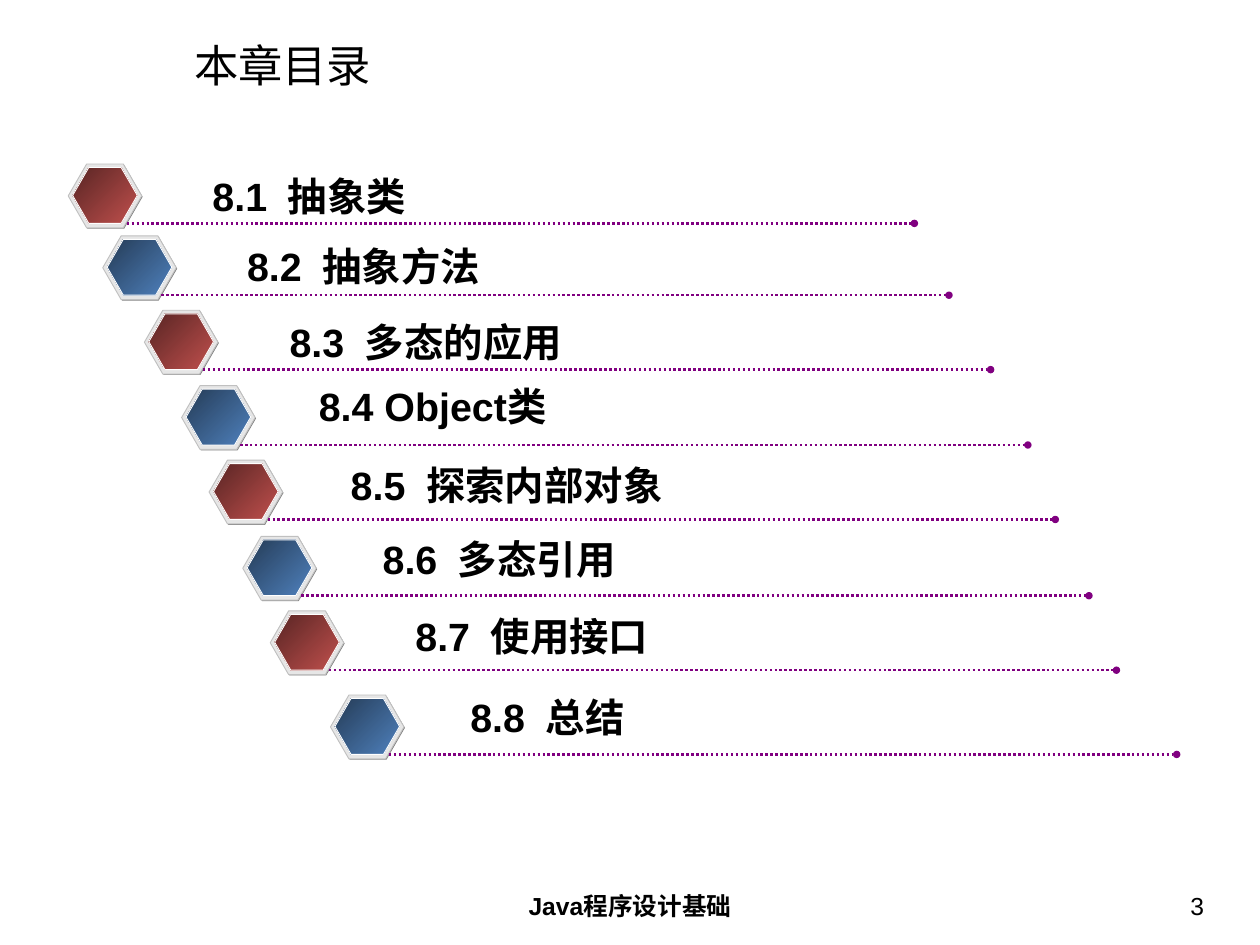
from dataclasses import dataclass

from pptx import Presentation
from pptx.dml.color import RGBColor
from pptx.enum.dml import MSO_LINE
from pptx.enum.shapes import MSO_CONNECTOR, MSO_SHAPE
from pptx.enum.text import MSO_ANCHOR, PP_ALIGN
from pptx.oxml.ns import qn
from pptx.util import Pt
from lxml.etree import SubElement

PX = 9144  # 100 px to the inch


@dataclass(frozen=True)
class Theme:
    font: str = "Arial"
    text: str = "000000"
    shadow: str = "808080"
    rim: str = "E6E6E6"
    rim_line: str = "C0C0C0"
    gem_line: str = "FFFFFF"
    rule: str = "800080"
    gems: tuple = (("C0504D", "592524"), ("4F81BD", "253C57"))
    title_size: int = 36
    item_size: int = 32
    footer_size: int = 20


THEME = Theme()
NUMBER_TAB = 85

# text, hexagon left and top, label left, top and width
ITEMS = [
    ("8.1\t抽象类", 77, 185, 230, 189, 260),
    ("8.2\t抽象方法", 116, 266, 269, 268, 305),
    ("8.3\t多态的应用", 163, 350, 317, 354, 350),
    ("8.4 Object类", 205, 435, 350, 426, 310),
    ("8.5\t探索内部对象", 236, 519, 386, 515, 395),
    ("8.6\t多态引用", 274, 605, 422, 599, 305),
    ("8.7\t使用接口", 305, 689, 459, 686, 305),
    ("8.8\t总结", 373, 784, 521, 777, 215),
]


def emu(*lengths):
    return [n * PX for n in lengths]


def rgb(value):
    return RGBColor.from_string(value)


def write(shape, text, size, bold=False, align=PP_ALIGN.LEFT, inset=(14, 7), tab=None):
    tf = shape.text_frame
    tf.word_wrap = True
    tf.margin_left = tf.margin_right = inset[0] * PX
    tf.margin_top = tf.margin_bottom = inset[1] * PX
    p = tf.paragraphs[0]
    p.text = text
    p.alignment = align
    if tab:
        tabs = SubElement(p._p.get_or_add_pPr(), qn("a:tabLst"))
        SubElement(tabs, qn("a:tab"), pos=str(tab * PX), algn="l")
    for r in p.runs:
        r.font.name = THEME.font
        r.font.size = Pt(size)
        r.font.bold = bold
        r.font.color.rgb = rgb(THEME.text)


def add_hexagon(shapes, box, fill, line=None):
    """Fill is one colour, or a pair for a diagonal gradient."""
    sp = shapes.add_shape(MSO_SHAPE.HEXAGON, *emu(*box))
    sp.shadow.inherit = False
    sp.adjustments[0] = 0.289
    if isinstance(fill, tuple):
        sp.fill.gradient()
        sp.fill.gradient_angle = 135
        for stop, colour in zip(sp.fill.gradient_stops, fill):
            stop.color.rgb = rgb(colour)
    else:
        sp.fill.solid()
        sp.fill.fore_color.rgb = rgb(fill)
    if line:
        sp.line.color.rgb = rgb(line)
        sp.line.width = Pt(0.75)
    else:
        sp.line.fill.background()


def add_rule(shapes, x, y, length):
    """Dotted line with a round end on the right."""
    line = shapes.add_connector(MSO_CONNECTOR.STRAIGHT, *emu(x, y, x + length, y))
    line.line.color.rgb = rgb(THEME.rule)
    line.line.width = Pt(2)
    line.line.dash_style = MSO_LINE.ROUND_DOT
    SubElement(line.line._get_or_add_ln(), qn("a:tailEnd"), type="oval")
    SubElement(line._element.spPr, qn("a:effectLst"))


def add_item(s, x, y, label_box, text, gem):
    shapes = s.shapes.add_group_shape().shapes
    add_hexagon(shapes, (x + 1, y + 1, 83, 72), THEME.shadow)
    add_hexagon(shapes, (x, y, 83, 72), THEME.rim, THEME.rim_line)
    add_hexagon(shapes, (x + 5, y + 4, 73, 63), gem, THEME.gem_line)
    add_rule(shapes, x + 66, y + 67, 889)
    label = shapes.add_textbox(*emu(*label_box))
    write(label, text, THEME.item_size, bold=True, inset=(10, 5),
          tab=NUMBER_TAB if "\t" in text else None)


def add_title(s, box):
    title = s.shapes.title
    title.left, title.top, title.width, title.height = emu(*box)
    write(title, "本章目录", THEME.title_size)
    title.text_frame.vertical_anchor = MSO_ANCHOR.MIDDLE


def add_footer(s, x, y, height):
    name = s.shapes.add_textbox(*emu(x, y, 450, height))
    number = s.shapes.add_textbox(*emu(x + 555, y, 332, height))
    write(name, "Java程序设计基础", THEME.footer_size, True, PP_ALIGN.CENTER)
    write(number, "3", THEME.footer_size, align=PP_ALIGN.RIGHT)


def add_contents(s):
    for i, (text, x, y, left, top, width) in enumerate(ITEMS):
        gem = THEME.gems[i % len(THEME.gems)]
        add_item(s, x, y, (left, top, width, 64), text, gem)


def main():
    prs = Presentation()
    prs.slide_width, prs.slide_height = emu(1422, 1066)
    s = prs.slides.add_slide(prs.slide_layouts[5])
    add_title(s, (205, 45, 1183, 57))
    add_footer(s, 486, 998, 55)
    add_contents(s)
    prs.save("out.pptx")


if __name__ == "__main__":
    main()
